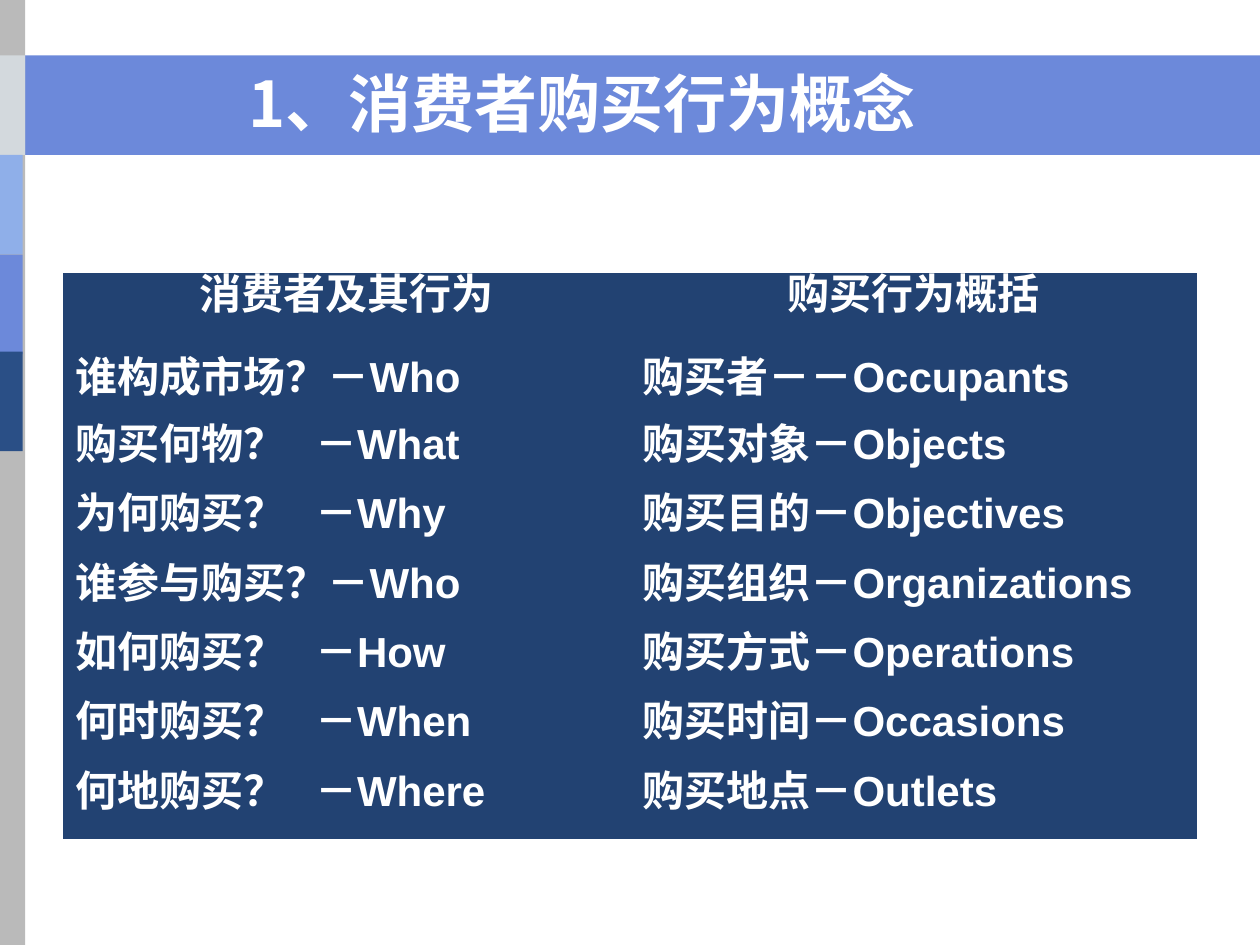
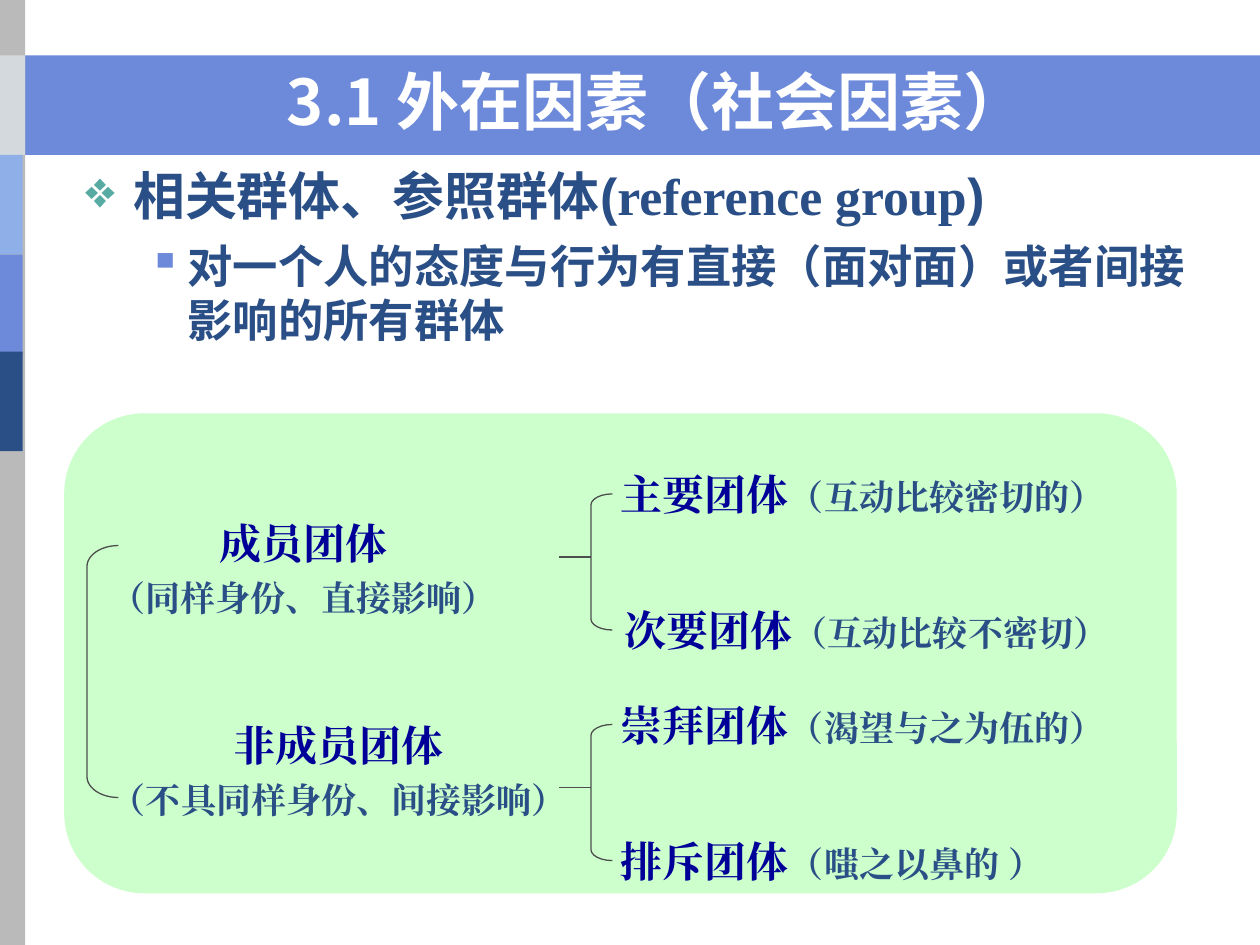
from dataclasses import dataclass

from lxml.etree import SubElement
from pptx import Presentation
from pptx.dml.color import RGBColor
from pptx.enum.lang import MSO_LANGUAGE_ID as Language
from pptx.enum.shapes import MSO_CONNECTOR as Connector, MSO_SHAPE as Shape
from pptx.enum.text import MSO_ANCHOR as Anchor, MSO_AUTO_SIZE as AutoSize, PP_ALIGN as Align
from pptx.oxml.ns import qn
from pptx.util import Inches, Pt


@dataclass(frozen=True)
class Theme:
    white: str = "FFFFFF"
    band: str = "6C89DA"
    rail: str = "BABABA"
    mist: str = "D3D9DD"
    sky: str = "8FAFE9"
    navy: str = "2A4F86"
    table: str = "224272"
    panel: str = "CCFFCC"
    group: str = "000099"
    teal: str = "57ABA3"
    line: str = "4D4D4D"
    sans: str = "Arial"
    serif: str = "Times New Roman"
    heading: str = "Noto Sans CJK SC"
    title_size: float = 36
    lead_size: float = 29.6
    detail_size: float = 25.9
    label_size: float = 24
    note_size: float = 20


THEME = Theme()
NO_GRID = "{2D5ABB26-0587-4C30-8999-92F81FD0307C}"
BAND_TOP, BAND_HEIGHT = 0.44, 0.79
QUESTION_TAB = 1.9

QUESTIONS = [
    ("谁构成市场？－Who", "购买者－－Occupants"),
    ("购买何物？\t－What", "购买对象－Objects"),
    ("为何购买？\t－Why", "购买目的－Objectives"),
    ("谁参与购买？－Who", "购买组织－Organizations"),
    ("如何购买？\t－How", "购买方式－Operations"),
    ("何时购买？\t－When", "购买时间－Occasions"),
    ("何地购买？\t－Where", "购买地点－Outlets"),
]


def set_values(target, values):
    for name, value in values.items():
        setattr(target, name, value)


def add_span(para, text, size, color, face):
    span = para.add_run()
    span.text = text
    set_values(span.font, {"name": face, "size": Pt(size), "bold": True,
                           "language_id": Language.SIMPLIFIED_CHINESE})
    span.font.color.rgb = RGBColor.from_string(color)
    SubElement(span.font._element, qn("a:ea"), typeface=face)


def add_shape(page, kind, place, fill=None, line=None):
    shape = page.shapes.add_shape(kind, *map(Inches, place))
    shape.shadow.inherit = False
    if fill:
        shape.fill.solid()
        shape.fill.fore_color.rgb = RGBColor.from_string(fill)
    else:
        shape.fill.background()
    if line:
        shape.line.color.rgb = RGBColor.from_string(line)
        shape.line.width = Pt(0.75)
    else:
        shape.line.fill.background()
    return shape


def add_frame(page, deck):
    top, height = BAND_TOP, BAND_HEIGHT
    add_shape(page, Shape.RECTANGLE, (0, top, 10, height), THEME.band)
    add_shape(page, Shape.RECTANGLE, (-0.01, 0, 0.21, 7.5), THEME.rail)
    tiles = [(0, top, THEME.mist), (-0.02, 1.23, THEME.sky),
             (-0.02, 2.02, THEME.band), (-0.02, 2.79, THEME.navy)]
    for left, tile_top, color in tiles:
        add_shape(page, Shape.RECTANGLE, (left, tile_top, 0.2, height), color)


def add_page(deck, text, place):
    page = deck.slides.add_slide(deck.slide_layouts[5])
    add_frame(page, deck)
    title = page.shapes.title
    title.element.getparent().append(title.element)
    set_values(title, dict(zip(("left", "top", "width", "height"), map(Inches, place))))
    set_values(title.text_frame, {"vertical_anchor": Anchor.MIDDLE, "word_wrap": True,
                                  "auto_size": AutoSize.NONE})
    para = title.text_frame.paragraphs[0]
    para.alignment = Align.CENTER
    add_span(para, text, THEME.title_size, THEME.white, THEME.heading)
    return page


def add_text(page, place, wrap=True):
    box = page.shapes.add_textbox(*map(Inches, place))
    set_values(box.text_frame, {"word_wrap": wrap, "auto_size": AutoSize.NONE})
    return box.text_frame


def add_bullet(para, mark, color, margin, hang):
    props = para._p.get_or_add_pPr()
    props.set("marL", str(Inches(margin)))
    props.set("indent", str(-Inches(hang)))
    SubElement(SubElement(props, qn("a:buClr")), qn("a:srgbClr"), val=color)
    SubElement(props, qn("a:buChar"), char=mark)


def fill_cell(cell, text, is_header):
    cell.fill.solid()
    cell.fill.fore_color.rgb = RGBColor.from_string(THEME.table)
    para = cell.text_frame.paragraphs[0]
    set_values(para, {"alignment": Align.CENTER if is_header else Align.LEFT,
                      "line_spacing": 0.8})
    if "\t" in text:
        stops = SubElement(para._p.get_or_add_pPr(), qn("a:tabLst"))
        SubElement(stops, qn("a:tab"), pos=str(Inches(QUESTION_TAB)), algn="l")
    add_span(para, text, THEME.label_size, THEME.white, THEME.sans)


def add_questions(page):
    rows = [("消费者及其行为", "购买行为概括"), *QUESTIONS]
    heights = [0.66, 0.53] + [0.55] * 6
    frame = page.shapes.add_table(len(rows), 2, Inches(0.5), Inches(2.17),
                                  Inches(9), Inches(sum(heights)))
    table = frame.table
    set_values(table, {"first_row": False, "horz_banding": False})
    table._tbl.tblPr.find(qn("a:tableStyleId")).text = NO_GRID
    for index, (texts, height) in enumerate(zip(rows, heights)):
        table.rows[index].height = Inches(height)
        for column, text in enumerate(texts):
            fill_cell(table.cell(index, column), text, index == 0)


def add_definition(page):
    body = add_text(page, (0.58, 1.25, 9, 1.59))
    lead = body.paragraphs[0]
    add_bullet(lead, "❖", THEME.teal, 0.38, 0.38)
    for text, face in [("相关群体、参照群体(", THEME.sans),
                       ("reference group", THEME.serif), (")", THEME.sans)]:
        add_span(lead, text, THEME.lead_size, THEME.navy, face)
    detail = body.add_paragraph()
    detail.level = 1
    detail.space_before = Pt(7)
    add_bullet(detail, "▪", THEME.band, 0.81, 0.31)
    add_span(detail, "对一个人的态度与行为有直接（面对面）或者间接影响的所有群体",
             THEME.detail_size, THEME.navy, THEME.sans)


def add_group(page, name, note, place):
    body = add_text(page, place, wrap=False)
    heading, remark = body.paragraphs[0], body.add_paragraph()
    heading.alignment = remark.alignment = Align.CENTER
    remark.space_before = Pt(5)
    add_span(heading, name, THEME.label_size, THEME.group, THEME.serif)
    add_span(remark, note, THEME.note_size, THEME.navy, THEME.serif)


def add_subgroup(page, name, note, left, top, face=THEME.serif):
    para = add_text(page, (left, top, 4.09, 0.5)).paragraphs[0]
    add_span(para, name, THEME.label_size, THEME.group, face)
    add_span(para, note, THEME.note_size, THEME.navy, face)


def add_bracket(page, place, curve):
    bracket = add_shape(page, Shape.LEFT_BRACKET, place, line=THEME.line)
    bracket.adjustments[0] = curve


def add_stem(page, y):
    stem = page.shapes.add_connector(Connector.STRAIGHT, Inches(4.44), Inches(y),
                                     Inches(4.69), Inches(y))
    stem.line.color.rgb = RGBColor.from_string(THEME.line)
    stem.line.width = Pt(0.75)
    SubElement(stem._element.spPr, qn("a:effectLst"))


def add_group_tree(page):
    panel = add_shape(page, Shape.ROUNDED_RECTANGLE, (0.51, 3.28, 8.83, 3.81), THEME.panel)
    panel.adjustments[0] = 0.167
    add_group(page, "成员团体", "（同样身份、直接影响）", (0.78, 4.06, 3.26, 0.91))
    add_group(page, "非成员团体", "（不具同样身份、间接影响）", (0.78, 5.66, 3.82, 0.91))
    add_bracket(page, (0.69, 4.33, 0.25, 2), 0.67)
    for top in (3.92, 5.75):
        add_bracket(page, (4.69, top, 0.17, 1.08), 0.52)
        add_stem(page, top + 0.5)
    add_subgroup(page, "主要团体", "（互动比较密切的）", 4.83, 3.67)
    add_subgroup(page, "次要团体", "（互动比较不密切）", 4.86, 4.75)
    add_subgroup(page, "崇拜团体", "（渴望与之为伍的）", 4.83, 5.5)
    add_subgroup(page, "排斥团体", "（嗤之以鼻的 ）", 4.83, 6.58)


def main():
    deck = Presentation()
    set_values(deck, {"slide_width": Inches(10), "slide_height": Inches(7.5)})
    concept = add_page(deck, "1、消费者购买行为概念", (0.58, 0.5, 8.08, 0.62))
    add_questions(concept)
    factors = add_page(deck, "3.1 外在因素（社会因素）", (0.67, 0.17, 9.08, 1.25))
    add_definition(factors)
    add_group_tree(factors)
    deck.save("out.pptx")


if __name__ == "__main__":
    main()
